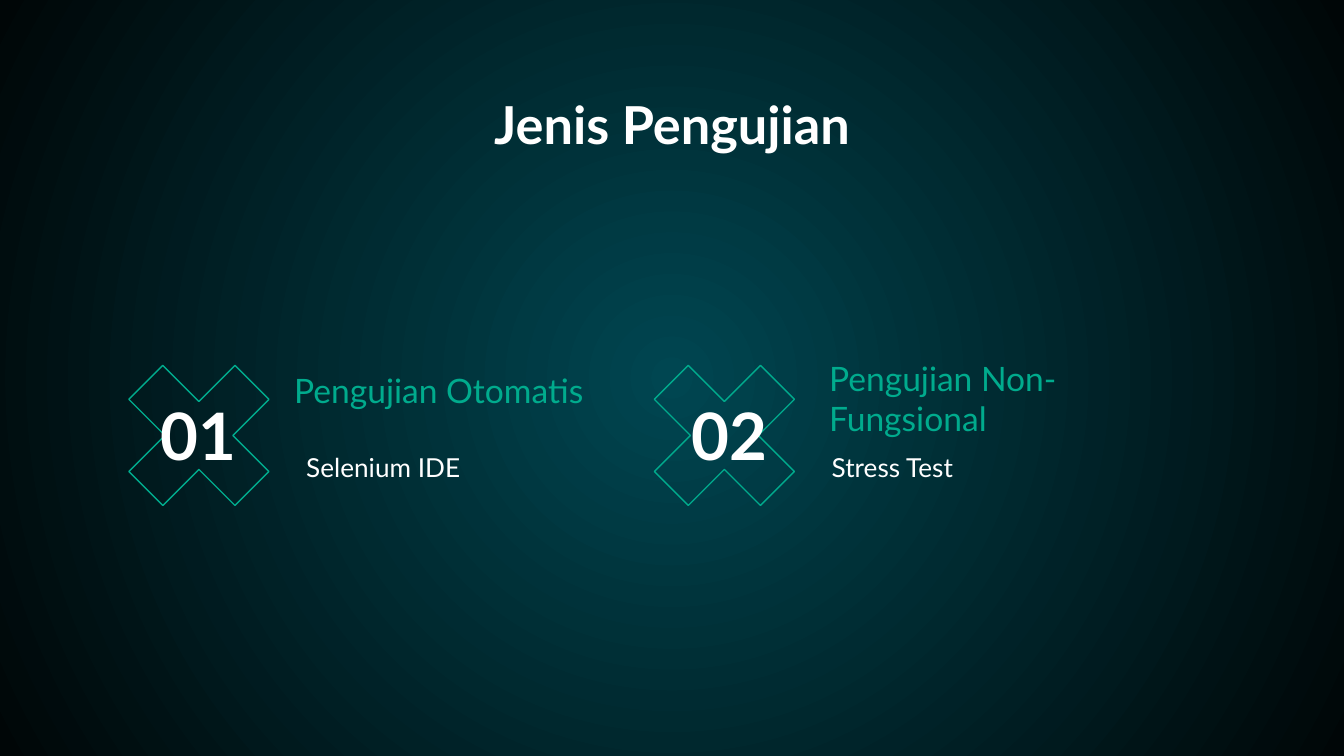
from lxml import etree
from pptx import Presentation
from pptx.dml.color import RGBColor
from pptx.enum.shapes import MSO_SHAPE
from pptx.enum.text import MSO_ANCHOR as ANCHOR, PP_ALIGN as ALIGN
from pptx.oxml.ns import qn
from pptx.util import Inches, Pt

COLORS = {"center": "004651", "edge": "000607", "accent": "00AB8D", "text": "FFFFFF"}
FONT = "Lato"

TITLE = "Jenis Pengujian"
# Left edges of cross, number and detail; box (left, top, height) of the heading
TESTS = [
    {"number": "01", "heading": "Pengujian Otomatis", "detail": "Selenium IDE",
     "cross_x": 0.72, "number_x": 1.01, "detail_x": 2.18, "heading_box": (2.09, 2.57, 0.58)},
    {"number": "02", "heading": "Pengujian Non-Fungsional", "detail": "Stress Test",
     "cross_x": 4.63, "number_x": 4.96, "detail_x": 6.09, "heading_box": (6.07, 2.61, 0.75)},
]
CROSS_Y, CROSS_SIZE = 2.48, 1.52
NUMBER_Y, NUMBER_W, NUMBER_H = 2.99, 0.94, 0.49
DETAIL_Y, DETAIL_H = 3.26, 0.58
TEXT_W = 2.82


def rgb(name):
    return RGBColor.from_string(COLORS[name])


def set_radial_background(s):
    fill = s.background.fill
    fill.gradient()
    for stop, name, position in zip(fill.gradient_stops, ("center", "edge"), (0, 1)):
        stop.color.rgb = rgb(name)
        stop.position = position
    grad = s._element.find(".//" + qn("a:gradFill"))
    grad.remove(grad.find(qn("a:lin")))
    path = etree.SubElement(grad, qn("a:path"), path="circle")
    etree.SubElement(path, qn("a:fillToRect"), {side: "50000" for side in "ltrb"})


def add_text(s, text, x, y, w, h, size, color="text", bold=False,
             align=ALIGN.LEFT, anchor=ANCHOR.TOP):
    tf = s.shapes.add_textbox(Inches(x), Inches(y), Inches(w), Inches(h)).text_frame
    tf.word_wrap = True
    tf.vertical_anchor = anchor
    tf.margin_left = tf.margin_right = tf.margin_top = tf.margin_bottom = Inches(0.1)
    p = tf.paragraphs[0]
    p.text = text
    p.alignment = align
    p.font.name = FONT
    p.font.size = Pt(size)
    p.font.bold = bold
    p.font.color.rgb = rgb(color)


def add_cross(s, x):
    sp = s.shapes.add_shape(MSO_SHAPE.MATH_MULTIPLY, Inches(x), Inches(CROSS_Y),
                            Inches(CROSS_SIZE), Inches(CROSS_SIZE))
    sp.adjustments[0] = 0.235
    sp.shadow.inherit = False
    sp.fill.background()
    sp.line.color.rgb = rgb("accent")
    sp.line.width = Pt(0.75)


prs = Presentation()
prs.slide_width = Inches(10)
prs.slide_height = Inches(10 * 9 / 16)
s = prs.slides.add_slide(prs.slide_layouts[6])
set_radial_background(s)

for test in TESTS:
    add_cross(s, test["cross_x"])

add_text(s, TITLE, 0.78, 0.59, 8.44, 0.63, 28, bold=True, align=ALIGN.CENTER)
for test in TESTS:
    add_text(s, test["number"], test["number_x"], NUMBER_Y, NUMBER_W, NUMBER_H, 35,
             bold=True, align=ALIGN.CENTER, anchor=ANCHOR.MIDDLE)
    x, y, h = test["heading_box"]
    add_text(s, test["heading"], x, y, TEXT_W, h, 18, color="accent", anchor=ANCHOR.BOTTOM)
    add_text(s, test["detail"], test["detail_x"], DETAIL_Y, TEXT_W, DETAIL_H, 14)

prs.save("out.pptx")
